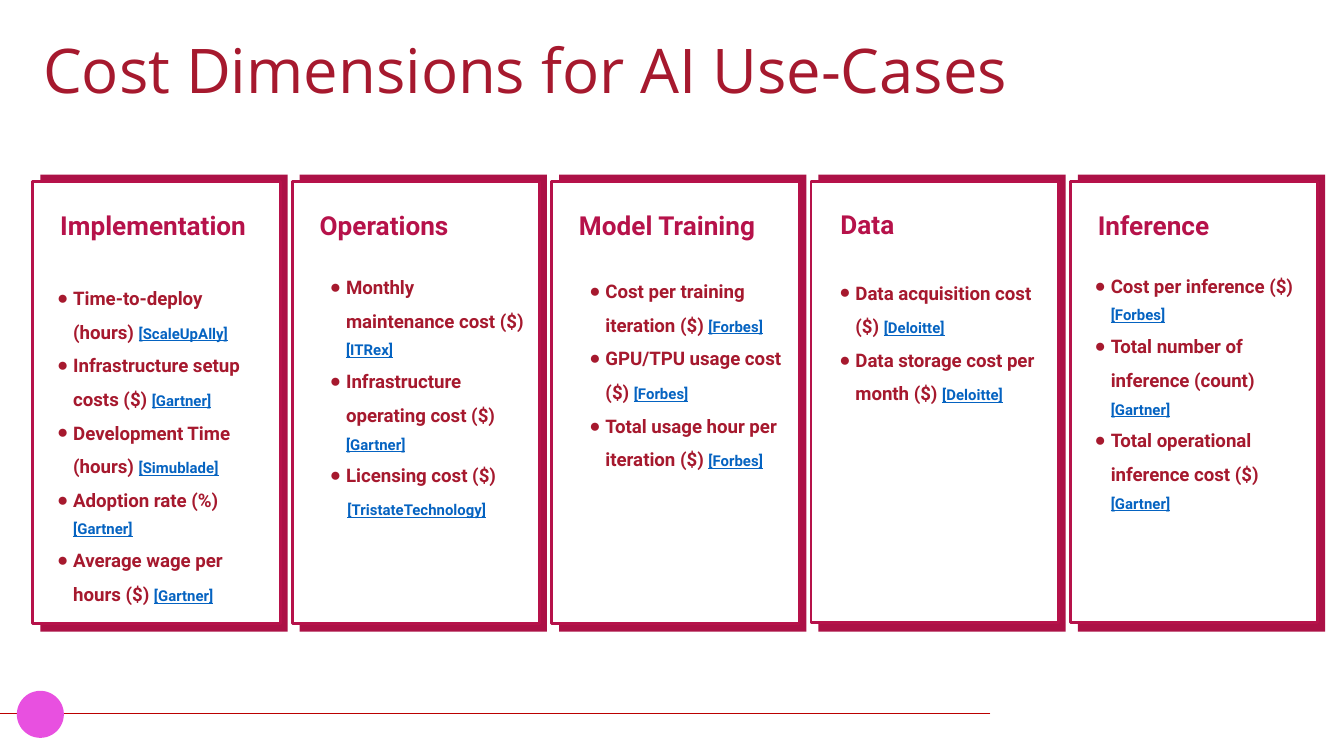
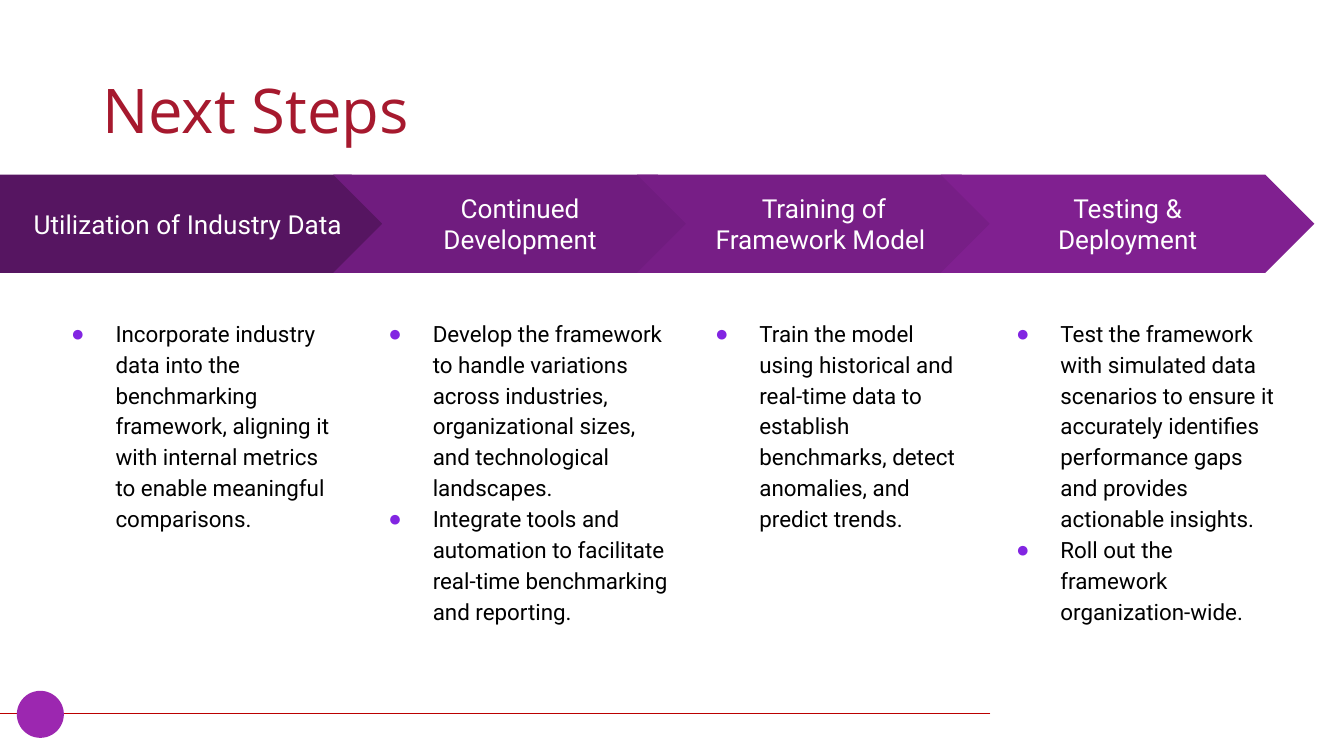
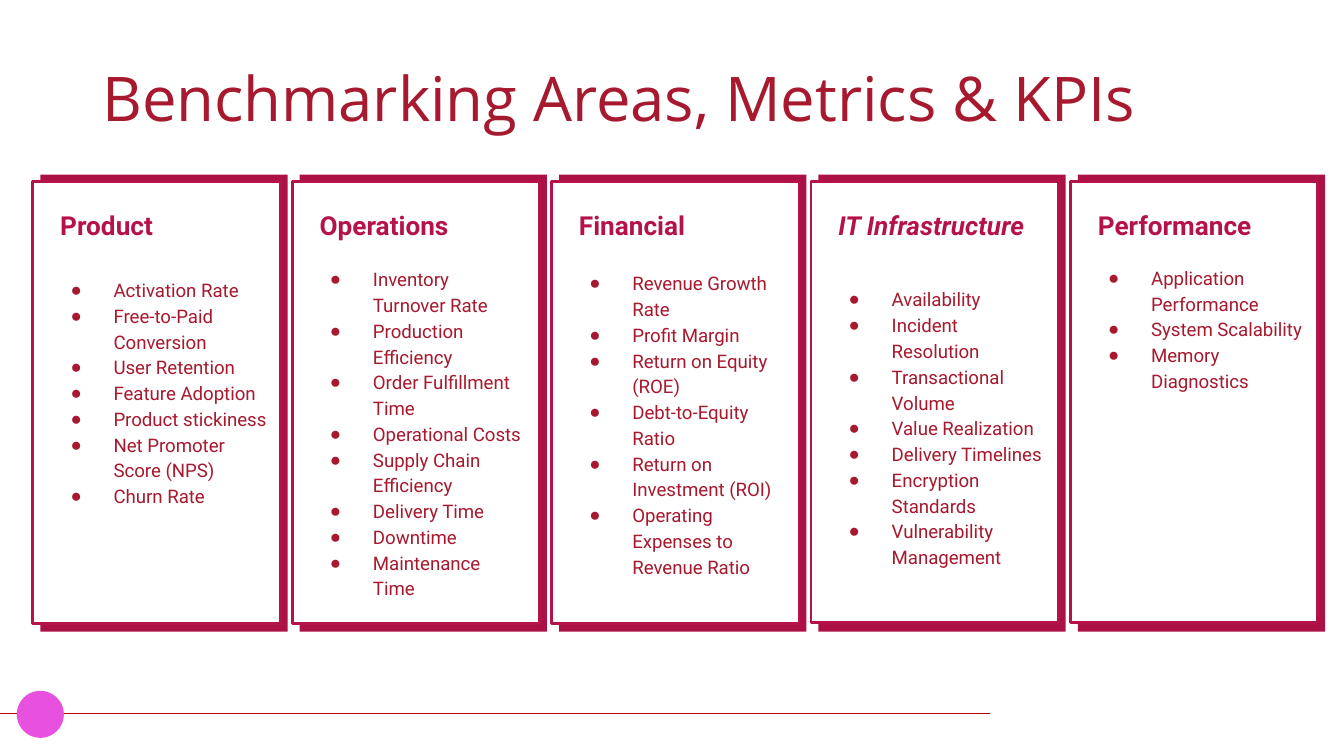
from copy import deepcopy
from dataclasses import dataclass

from lxml import etree
from pptx import Presentation, util as u
from pptx.dml.color import RGBColor
from pptx.enum import shapes, text
from pptx.oxml import ns


@dataclass(frozen=True)
class Theme:
    """Colours, fonts and type sizes shared by all slides."""
    title_font: str = "Open Sans"
    body_font: str = "Roboto"
    bullet_font: str = "Arial"
    title_size: int = 33
    heading_size: int = 14
    step_size: int = 12
    item_size: int = 10
    source_size: int = 8
    crimson: str = "A6192E"
    raspberry: str = "B6124A"
    card_back: str = "AC1146"
    link: str = "0563C1"
    rule: str = "BB0000"
    pink: str = "E850E0"
    purple: str = "9C27B0"
    violet: str = "8225E2"
    white: str = "FFFFFF"
    black: str = "000000"


THEME = Theme()
COLUMNS, ROWS = 100, 56.25
CELL = u.Inches(0.1)
MAX_LISTS = 5
CARD_LEFT, CARD_PITCH, CARD_WIDTH = 2.45, 19.3, 18.4
ANCHOR = text.MSO_ANCHOR
ALIGN = text.PP_ALIGN

COST_CARDS = [
    ("Implementation", 19.5, 18.4, 0.2, [
        "Time-to-deploy (hours) |[ScaleUpAlly]",
        "Infrastructure setup costs ($) |[Gartner]",
        "Development Time (hours) |[Simublade]",
        "Adoption rate (%) |[Gartner]",
        "Average wage per hours ($) |[Gartner]"]),
    ("Operations", 18.7, 18.2, 0.3, [
        "Monthly maintenance cost ($) |[ITRex]",
        "Infrastructure operating cost ($) |[Gartner]",
        "Licensing cost ($)",
        "|[TristateTechnology]"]),
    ("Model Training", 19, 18.4, 0.3, [
        "Cost per training iteration ($) |[Forbes]",
        "GPU/TPU usage cost ($) |[Forbes]",
        "Total usage hour per iteration ($) |[Forbes]"]),
    ("Data", 19.1, 18.1, 0.2, [
        "Data acquisition cost ($) |[Deloitte]",
        "Data storage cost per month ($) |[Deloitte]"]),
    ("Inference", 18.6, 18.4, 0.2, [
        "Cost per inference ($) |[Forbes]",
        "Total number of inference (count) |[Gartner]",
        "Total operational inference cost ($) |[Gartner]"]),
]

KPI_CARDS = [
    ("Product", 19.5, 18.4, 0.5, [
        "Activation Rate", "Free-to-Paid Conversion", "User Retention",
        "Feature Adoption", "Product stickiness",
        "Net Promoter Score (NPS)", "Churn Rate"]),
    ("Operations", 18.7, 18.2, 0.5, [
        "Inventory Turnover Rate", "Production Efficiency",
        "Order Fulfillment Time", "Operational Costs",
        "Supply Chain Efficiency", "Delivery Time", "Downtime",
        "Maintenance Time"]),
    ("Financial", 19, 18.4, 0.5, [
        "Revenue Growth Rate", "Profit Margin", "Return on Equity (ROE)",
        "Debt-to-Equity Ratio", "Return on Investment (ROI)",
        "Operating Expenses to Revenue Ratio"]),
    ("IT Infrastructure", 20.2, 18.4, 0.5, [
        "Availability", "Incident Resolution", "Transactional Volume",
        "Value Realization", "Delivery Timelines", "Encryption Standards",
        "Vulnerability Management"]),
    ("Performance", 18.6, 18.4, 0.5, [
        "Application Performance", "System Scalability",
        "Memory Diagnostics"]),
]

STEPS = [
    ("Utilization of Industry Data", "561561", 2.6, 23.1, [
        "Incorporate industry data into the benchmarking framework, aligning "
        "it with internal metrics to enable meaningful comparisons."]),
    ("Continued Development", "701C7F", 26.2, 24.8, [
        "Develop the framework to handle variations across industries, "
        "organizational sizes, and technological landscapes.",
        "Integrate tools and automation to facilitate real-time benchmarking "
        "and reporting."]),
    ("Training of Framework Model ", "771E86", 50.5, 22.6, [
        "Train the model using historical and real-time data to establish "
        "benchmarks, detect anomalies, and predict trends."]),
    ("Testing & Deployment", "802090", 72.9, 23.7, [
        "Test the framework with simulated data scenarios to ensure it "
        "accurately identifies performance gaps and provides actionable "
        "insights.",
        "Roll out the framework organization-wide."]),
]


def rgb(code):
    """Turn a hex code into a colour."""
    return RGBColor.from_string(code)


def assign(target, **values):
    """Set several attributes on one object."""
    for key, value in values.items():
        setattr(target, key, value)


def cells(*counts):
    """Convert grid counts to lengths."""
    return [round(count * CELL) for count in counts]


def place(part, *box):
    """Move a shape to a box given in columns and rows."""
    assign(part, **dict(zip(("left", "top", "width", "height"), cells(*box))))


def prepare_frame(part, anchor=ANCHOR.TOP, side=0.1, edge=0.1):
    """Set wrapping, insets and anchor, and return the text frame."""
    frame = part.text_frame
    assign(frame, word_wrap=True, auto_size=text.MSO_AUTO_SIZE.NONE,
           vertical_anchor=anchor,
           margin_left=u.Inches(side), margin_right=u.Inches(side),
           margin_top=u.Inches(edge), margin_bottom=u.Inches(edge))
    return frame


def add_run(paragraph, words, size, color, font=THEME.body_font, **styles):
    """Append a formatted run."""
    run = paragraph.add_run()
    run.text = words
    assign(run.font, name=font, size=u.Pt(size), **styles)
    run.font.color.rgb = rgb(color)


def set_indent(paragraph, left, hanging, bullet_color):
    """Indent a paragraph, with a round bullet if a colour is given."""
    props = paragraph._p.get_or_add_pPr()
    props.set("marL", str(u.Inches(left)))
    props.set("indent", str(-u.Inches(hanging)))
    if not bullet_color:
        etree.SubElement(props, ns.qn("a:buNone"))
        return
    tint = etree.SubElement(props, ns.qn("a:buClr"))
    etree.SubElement(tint, ns.qn("a:srgbClr")).set("val", bullet_color)
    etree.SubElement(props, ns.qn("a:buFont")).set(
        "typeface", THEME.bullet_font)
    etree.SubElement(props, ns.qn("a:buChar")).set("char", "●")


def fill_list(slide, body, box, items, size, color, bullet, indent, hanging,
              spacing, bold=False):
    """Fill a body placeholder with bullets and bring it to the front."""
    place(body, *box)
    slide.shapes._spTree.append(body._element)
    frame = prepare_frame(body)
    for number, item in enumerate(items):
        label, _, source = item.partition("|")
        paragraph = frame.add_paragraph() if number else frame.paragraphs[0]
        if label:
            set_indent(paragraph, indent, hanging, bullet)
            add_run(paragraph, label, size, color, bold=bold)
        else:
            set_indent(paragraph, indent + 0.01, 0, None)
        if source:
            add_run(paragraph, source, THEME.source_size, THEME.link,
                    bold=bold, underline=True)
        assign(paragraph, alignment=ALIGN.LEFT, line_spacing=spacing,
               space_before=u.Pt(0 if label else 2.7), space_after=u.Pt(0))


def add_block(slide, kind, box, fill, outline=None):
    """Draw a filled preset shape with an optional outline."""
    block = slide.shapes.add_shape(kind, *cells(*box))
    block.shadow.inherit = False
    block.fill.solid()
    block.fill.fore_color.rgb = rgb(fill)
    if outline:
        block.line.color.rgb = rgb(outline)
        block.line.width = u.Pt(1.5)
    else:
        block.line.fill.background()
    return block


def add_shared_rule(slide):
    """Draw the bottom rule and hand it to the layout of the slide."""
    rule = slide.shapes.add_connector(
        shapes.MSO_CONNECTOR.STRAIGHT, *cells(73.7, 53.1, 0, 53.1))
    rule.line.color.rgb = rgb(THEME.rule)
    rule.line.width = u.Pt(0.75)
    connector = rule._element
    etree.SubElement(connector.spPr, ns.qn("a:effectLst"))
    connector.remove(connector.find(ns.qn("p:style")))
    connector.nvCxnSpPr.cNvPr.id = 40
    slide.slide_layout.shapes._spTree.append(connector)


def add_card(slide, body, number, heading, list_top, list_width, indent,
             items, dense):
    """Draw one offset card with its heading and list."""
    left = CARD_LEFT + number * CARD_PITCH
    rectangle = shapes.MSO_SHAPE.RECTANGLE
    add_block(slide, rectangle, (left + 0.55, 13, CARD_WIDTH, 34),
              THEME.card_back)
    add_block(slide, rectangle,
              (left, 13.5, CARD_WIDTH, 32.9 if number < 3 else 32.8),
              THEME.white, THEME.raspberry)
    shift = 0.3 if heading == "Data" else 0
    fill_list(slide, body, (left + shift, list_top, list_width, 26), items,
              THEME.item_size, THEME.crimson, THEME.crimson, indent,
              0.32 if dense else 0.12, 1.15 if dense else 1.5, not dense)
    label = slide.shapes.add_textbox(
        *cells(left + 1.05 + shift / 2, 14.6 - shift / 3, 16.4, 5.6))
    add_run(prepare_frame(label).paragraphs[0], heading, THEME.heading_size,
            THEME.raspberry, bold=True, italic=heading.startswith("IT "))


def add_step(slide, body, number, name, fill, left, width, items):
    """Draw one arrow of the process band and the list under it."""
    if number:
        kind, box = shapes.MSO_SHAPE.CHEVRON, (2.2 + 22.6 * number, 13, 27.8, 7.3)
    else:
        kind, box = shapes.MSO_SHAPE.PENTAGON, (0, 13, 29.8, 7.3)
    arrow = add_block(slide, kind, box, fill)
    caption = prepare_frame(arrow, ANCHOR.MIDDLE).paragraphs[0]
    caption.alignment = ALIGN.CENTER
    add_run(caption, name, THEME.heading_size, THEME.white)
    fill_list(slide, body, (left, 22.5, width, 28.6), items, THEME.step_size,
              THEME.black, THEME.violet, 0.5, 0.33, 1.15)


def extend_layout(layout):
    """Give the content layout one body placeholder per list."""
    first = layout.placeholders[1]._element
    for number in range(20, 19 + MAX_LISTS):
        twin = deepcopy(first)
        twin.ph.idx = number
        twin.nvSpPr.cNvPr.id = number
        layout.shapes._spTree.append(twin)


def start_slide(deck, title, left, top, dot_color, list_count):
    """Add a slide with title and dot, and return it with its bodies."""
    slide = deck.slides.add_slide(deck.slide_layouts[1])
    place(slide.shapes.title, left, top, 86.2, 10.9)
    frame = prepare_frame(slide.shapes.title, ANCHOR.MIDDLE, 0.07, 0.04)
    line = frame.paragraphs[0]
    assign(line, alignment=ALIGN.LEFT, line_spacing=0.9)
    add_run(line, title, THEME.title_size, THEME.crimson, THEME.title_font)
    dot = add_block(slide, shapes.MSO_SHAPE.ROUNDED_RECTANGLE,
                    (1.25, 51.4, 3.5, 3.5), dot_color)
    dot.adjustments[0] = 0.5
    bodies = list(slide.placeholders)[1:]
    for spare in bodies[list_count:]:
        slide.shapes._spTree.remove(spare._element)
    return slide, bodies[:list_count]


def card_slide(deck, title, left, top, cards, dense):
    """Build a slide with a row of cards."""
    slide, bodies = start_slide(deck, title, left, top, THEME.pink, len(cards))
    for number, (body, card) in enumerate(zip(bodies, cards)):
        add_card(slide, body, number, *card, dense)
    return slide


def step_slide(deck):
    """Build the slide with the process band."""
    slide, bodies = start_slide(deck, "Next Steps", 6.9, 3, THEME.purple,
                                len(STEPS))
    for number, (body, step) in enumerate(zip(bodies, STEPS)):
        add_step(slide, body, number, *step)


def main():
    """Build and save the deck."""
    deck = Presentation()
    assign(deck, slide_width=round(COLUMNS * CELL),
           slide_height=round(ROWS * CELL))
    extend_layout(deck.slide_layouts[1])
    costs = card_slide(deck, "Cost Dimensions for AI Use-Cases", 2.5, 0,
                       COST_CARDS, False)
    add_shared_rule(costs)
    step_slide(deck)
    card_slide(deck, "Benchmarking Areas, Metrics & KPIs", 6.9, 2.1,
               KPI_CARDS, True)
    deck.save("out.pptx")


if __name__ == "__main__":
    main()
